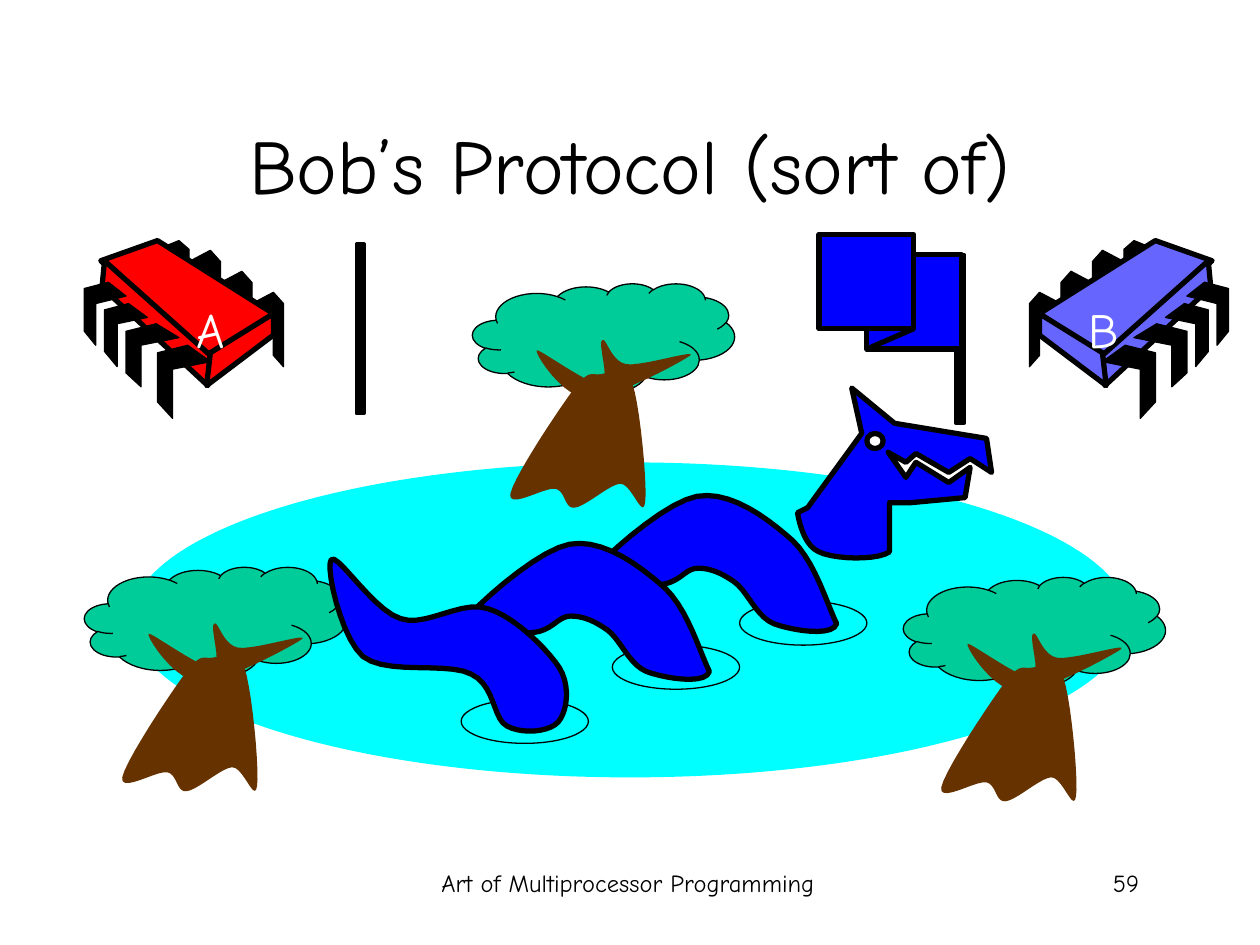
from dataclasses import dataclass

import pptx
import pptx.dml.color
import pptx.enum.shapes
import pptx.enum.text
import pptx.oxml
import pptx.oxml.ns
import pptx.shapes.base
import pptx.slide
import pptx.util

Inches = pptx.util.Inches
Preset = pptx.enum.shapes.MSO_SHAPE
Align = pptx.enum.text.PP_ALIGN
Anchor = pptx.enum.text.MSO_ANCHOR
Shape = pptx.shapes.base.BaseShape
Slide = pptx.slide.Slide
Outline = list[tuple[float, ...]]

FONT = "Comic Neue"
BLACK, WHITE, BLUE = "000000", "FFFFFF", "0000FF"
RED, PERIWINKLE, CYAN = "FF0000", "6666FF", "00FFFF"
LEAF, BARK = "00CC99", "663300"
THIN, POLE, THICK = 0.75, 2.25, 3
CURVE_STEPS = 10
MIRROR_SUM = 10.42


@dataclass
class Label:
    text: str
    box: tuple[float, float, float, float]
    size: int
    align: Align
    color: str = BLACK
    anchor: Anchor = Anchor.TOP
    wrap: bool = True


@dataclass
class Chip:
    color: str
    mirrored: bool


LABELS = [
    Label("Art of Multiprocessor Programming", (3.4, 6.84, 3.17, 0.5), 14, Align.CENTER),
    Label("59", (7.06, 6.84, 2.08, 0.5), 14, Align.RIGHT),
    Label("Bob’s Protocol (sort of)", (0.75, 0.67, 8.5, 1.25), 44, Align.CENTER, anchor=Anchor.MIDDLE),
]
CHIP_LABELS = [
    Label("A", (1.46, 2.33, 0.42, 0.57), 28, Align.RIGHT, WHITE, wrap=False),
    Label("B", (8.54, 2.33, 0.44, 0.57), 28, Align.RIGHT, WHITE, wrap=False),
]
CHIPS = [Chip(RED, False), Chip(PERIWINKLE, True)]
BACK_PIN: Outline = [(2, 2.41), (2.17, 2.32), (2.25, 2.41), (2.25, 2.91), (2.17, 2.82), (2.17, 2.49), (2, 2.57)]
LAST_BACK_PIN: Outline = [(1.25, 1.98), (1.42, 1.91), (1.5, 1.98), (1.5, 2.41), (1.42, 2.33), (1.42, 2.05), (1.25, 2.12)]
CHIP_FACES: list[Outline] = [
    [(1.25, 1.91), (2.17, 2.49), (1.65, 2.84), (0.8, 2.07)],
    [(0.83, 2.07), (1.67, 2.82), (1.65, 3.06), (0.81, 2.28)],
    [(2.17, 2.49), (2.17, 2.66), (1.64, 3.06), (1.67, 2.8)],
]
FRONT_PINS: list[Outline] = [
    [(1.49, 2.74), (1.67, 2.87), (1.37, 2.93), (1.37, 3.32), (1.25, 3.19), (1.25, 2.8)],
    [(1.24, 2.57), (1.42, 2.68), (1.12, 2.74), (1.12, 3.07), (1, 2.96), (1, 2.63)],
    [(1.02, 2.41), (1.17, 2.52), (0.93, 2.57), (0.93, 2.91), (0.83, 2.79), (0.83, 2.46)],
    [(0.86, 2.24), (1, 2.35), (0.76, 2.41), (0.76, 2.74), (0.67, 2.63), (0.67, 2.29)],
]
TREE_ORIGINS = [(3.75, 2.25), (7.17, 4.58), (0.67, 4.5)]
TRUNK: Outline = [
    (0.81, 0.83), (0.93, 0.68, 0.94, 0.73, 1.02, 0.72), (1.09, 0.71, 1.21, 0.63, 1.27, 0.8),
    (1.33, 0.97, 1.39, 1.61, 1.37, 1.74), (1.35, 1.88, 1.26, 1.58, 1.17, 1.59),
    (1.08, 1.6, 0.9, 1.77, 0.81, 1.78), (0.73, 1.79, 0.74, 1.65, 0.66, 1.63),
    (0.58, 1.61, 0.28, 1.8, 0.3, 1.67), (0.33, 1.53, 0.69, 0.99, 0.81, 0.83),
]
BRANCHES: Outline = [
    (0.51, 0.53), (0.49, 0.55, 0.71, 0.9, 0.91, 0.91), (1.12, 0.92, 1.68, 0.61, 1.73, 0.57),
    (1.78, 0.52, 1.34, 0.66, 1.22, 0.64), (1.1, 0.62, 1.06, 0.42, 1.03, 0.45),
    (0.99, 0.47, 1.1, 0.78, 1.02, 0.8), (0.93, 0.81, 0.52, 0.51, 0.51, 0.53),
]
RIPPLES = [(4.86, 5.12), (3.66, 5.55), (5.87, 4.77)]
HUMP_SHIFTS = [(0, 0), (-1.01, 0.38)]
HUMP: Outline = [
    (6.64, 4.95), (6.61, 5.06, 6.27, 5, 6.14, 4.95), (6, 4.89, 5.93, 4.69, 5.83, 4.62),
    (5.73, 4.55, 5.64, 4.51, 5.54, 4.51), (5.44, 4.51, 5.4, 4.62, 5.25, 4.64),
    (5.11, 4.65, 4.61, 4.72, 4.66, 4.6), (4.71, 4.49, 5.26, 3.99, 5.53, 3.94),
    (5.8, 3.89, 6.1, 4.12, 6.29, 4.29), (6.47, 4.46, 6.57, 4.81, 6.64, 4.95),
]
HEAD: Outline = [
    (6.41, 4.03), (6.84, 3.44), (6.76, 3.08), (7.1, 3.36), (7.83, 3.48), (7.87, 3.75), (7.7, 3.64),
    (7.53, 3.75), (7.27, 3.6), (7.19, 3.67), (7.05, 3.59), (7.19, 3.79), (7.27, 3.67), (7.53, 3.83),
    (7.7, 3.71), (7.66, 3.95), (7.23, 3.99), (7.06, 3.99), (7.06, 4.38),
    (6.96, 4.45, 6.62, 4.44, 6.5, 4.38), (6.38, 4.33, 6.34, 4.13, 6.33, 4.07),
]
TAIL: Outline = [
    (2.63, 4.44), (2.68, 4.39, 2.97, 4.85, 3.18, 4.91), (3.38, 4.98, 3.66, 4.76, 3.87, 4.83),
    (4.08, 4.89, 4.34, 5.15, 4.44, 5.3), (4.53, 5.45, 4.5, 5.65, 4.43, 5.73),
    (4.36, 5.81, 4.14, 5.83, 4.02, 5.76), (3.91, 5.7, 3.93, 5.44, 3.74, 5.35),
    (3.55, 5.25, 3.07, 5.36, 2.88, 5.21), (2.7, 5.05, 2.58, 4.49, 2.63, 4.44),
]


def rgb(color: str) -> pptx.dml.color.RGBColor:
    return pptx.dml.color.RGBColor.from_string(color)


def paint(shape: Shape, fill: str | None, line_width: float) -> Shape:
    shape.shadow.inherit = False
    if fill:
        shape.fill.solid()
        shape.fill.fore_color.rgb = rgb(fill)
    else:
        shape.fill.background()
    if line_width:
        shape.line.color.rgb = rgb(BLACK)
        shape.line.width = pptx.util.Pt(line_width)
    else:
        shape.line.fill.background()
    return shape


def draw_preset(slide: Slide, preset: Preset, box: tuple[float, float, float, float],
                fill: str | None, line_width: float = 0) -> Shape:
    return paint(slide.shapes.add_shape(preset, *map(Inches, box)), fill, line_width)


def shift(outline: Outline, across: float, down: float) -> Outline:
    return [tuple(value + (down if index % 2 else across) for index, value in enumerate(step))
            for step in outline]


def flatten(outline: Outline) -> list[tuple[float, float]]:
    points = [outline[0]]
    for step in outline[1:]:
        if len(step) == 2:
            points.append(step)
            continue
        controls = [points[-1], step[:2], step[2:4], step[4:]]
        for index in range(1, CURVE_STEPS + 1):
            t = index / CURVE_STEPS
            weights = ((1 - t) ** 3, 3 * t * (1 - t) ** 2, 3 * t * t * (1 - t), t ** 3)
            points.append(tuple(sum(weight * control[axis] for weight, control in zip(weights, controls))
                                for axis in (0, 1)))
    return points


def draw_outline(slide: Slide, outline: Outline, fill: str, line_width: float = 0) -> Shape:
    points = [(Inches(x), Inches(y)) for x, y in flatten(outline)]
    builder = slide.shapes.build_freeform(*points[0], scale=1.0)
    builder.add_line_segments(points[1:], close=True)
    return paint(builder.convert_to_shape(), fill, line_width)


def draw_label(slide: Slide, label: Label) -> None:
    frame = slide.shapes.add_textbox(*map(Inches, label.box)).text_frame
    frame.word_wrap = label.wrap
    frame.vertical_anchor = label.anchor
    paragraph = frame.paragraphs[0]
    paragraph.alignment = label.align
    run = paragraph.add_run()
    run.text = label.text
    run.font.name = FONT
    run.font.size = pptx.util.Pt(label.size)
    run.font.color.rgb = rgb(label.color)


def draw_chip(slide: Slide, chip: Chip) -> None:
    back_pins = [shift(BACK_PIN, -step / 4, -step / 6) for step in range(3)] + [LAST_BACK_PIN]
    parts = [(pin, BLACK, THIN) for pin in back_pins]
    parts += [(face, chip.color, THICK) for face in CHIP_FACES]
    parts += [(pin, BLACK, THIN) for pin in FRONT_PINS]
    shapes = []
    for outline, fill, line_width in parts:
        placed = [(MIRROR_SUM - x, y) for x, y in outline] if chip.mirrored else outline
        shapes.append(draw_outline(slide, placed, fill, line_width))
    slide.shapes.add_group_shape(shapes)


def draw_tree(slide: Slide, left: float, top: float) -> None:
    crown = draw_preset(slide, Preset.CLOUD_CALLOUT, (left, top, 2.08, 0.87), LEAF, THIN)
    crown.adjustments[0] = 0.02
    crown.adjustments[1] = 0.49
    wood = [draw_outline(slide, shift(part, left, top), BARK) for part in (TRUNK, BRANCHES)]
    slide.shapes.add_group_shape([crown, *wood])


def draw_flag(slide: Slide) -> None:
    pole = draw_preset(slide, Preset.RECTANGLE, (7.59, 2.02, 0.06, 1.34), BLACK, POLE)
    back = draw_preset(slide, Preset.RECTANGLE, (6.88, 2.02, 0.75, 0.75), BLUE, THICK)
    fold = slide.shapes.add_connector(pptx.enum.shapes.MSO_CONNECTOR.STRAIGHT,
                                      *map(Inches, (6.88, 2.77, 7.25, 2.61)))
    fold.line.color.rgb = rgb(BLACK)
    fold.line.width = pptx.util.Pt(THICK)
    properties = fold._element.find(pptx.oxml.ns.qn("p:spPr"))
    properties.append(pptx.oxml.parse_xml(f"<a:effectLst {pptx.oxml.ns.nsdecls('a')}/>"))
    front = draw_preset(slide, Preset.RECTANGLE, (6.5, 1.86, 0.75, 0.75), BLUE, THICK)
    slide.shapes.add_group_shape([pole, back, fold, front])


def draw_dragon(slide: Slide) -> None:
    for left, top in RIPPLES:
        draw_preset(slide, Preset.OVAL, (left, top, 1.01, 0.35), None, THIN)
    for across, down in HUMP_SHIFTS:
        draw_outline(slide, shift(HUMP, across, down), BLUE, THICK)
    draw_outline(slide, HEAD, BLUE, THICK)
    draw_preset(slide, Preset.OVAL, (6.88, 3.44, 0.13, 0.12), WHITE, THICK)
    draw_outline(slide, TAIL, BLUE, THICK)


def main() -> None:
    presentation = pptx.Presentation()
    presentation.slide_width, presentation.slide_height = Inches(10), Inches(7.5)
    slide = presentation.slides.add_slide(presentation.slide_layouts[6])
    for label in LABELS:
        draw_label(slide, label)
    for chip in CHIPS:
        draw_chip(slide, chip)
    draw_preset(slide, Preset.OVAL, (1.04, 3.67, 7.92, 2.5), CYAN)
    for label in CHIP_LABELS:
        draw_label(slide, label)
    for left, top in TREE_ORIGINS:
        draw_tree(slide, left, top)
    draw_flag(slide)
    draw_preset(slide, Preset.RECTANGLE, (2.83, 1.94, 0.06, 1.34), BLACK, POLE)
    draw_dragon(slide)
    presentation.save("out.pptx")


if __name__ == "__main__":
    main()
